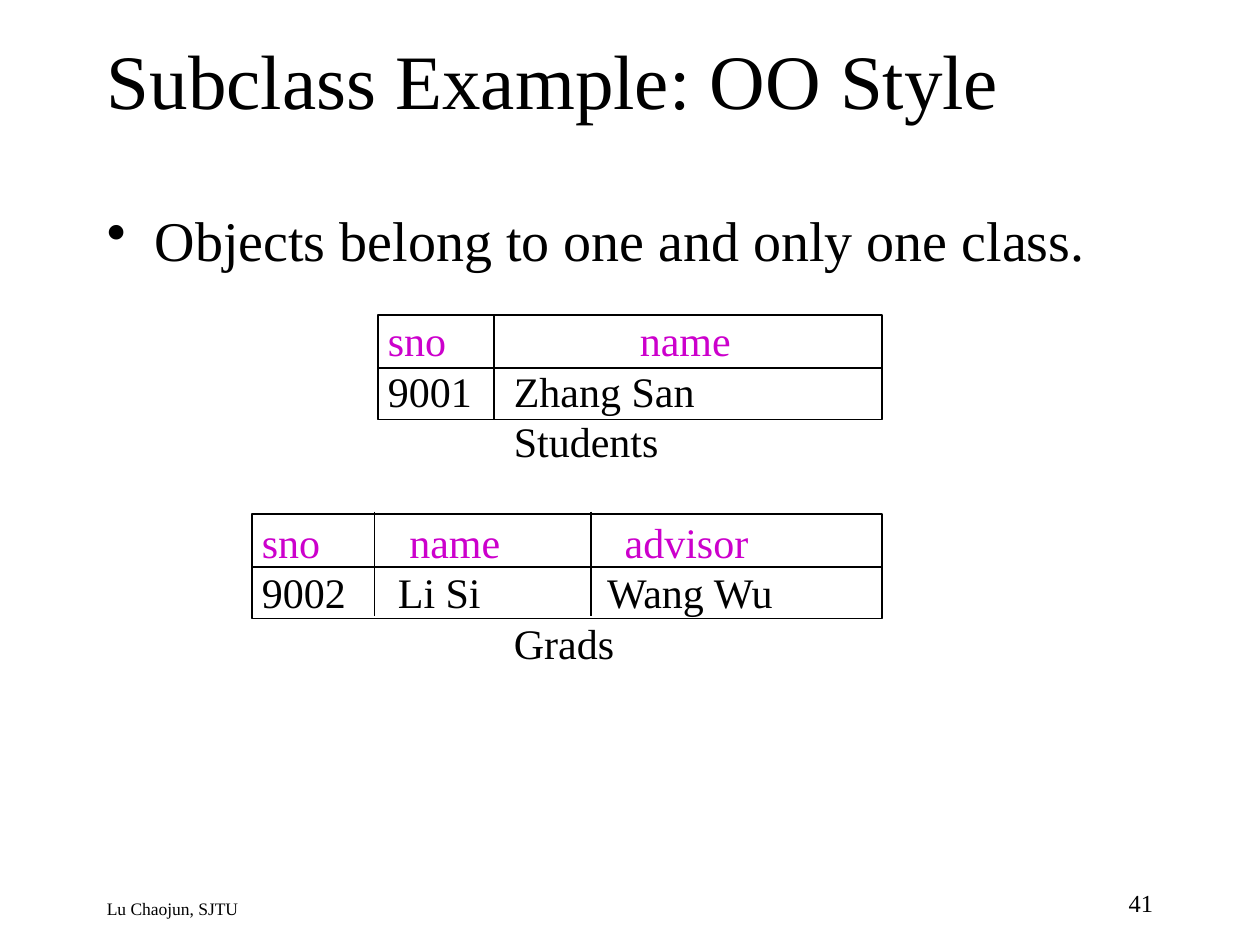
from dataclasses import dataclass

from lxml.etree import SubElement
from pptx import Presentation
from pptx.dml.color import RGBColor
from pptx.enum.shapes import MSO_CONNECTOR, MSO_SHAPE
from pptx.enum.text import MSO_ANCHOR, PP_ALIGN
from pptx.oxml.ns import qn
from pptx.util import Inches, Pt


@dataclass(frozen=True)
class Theme:
    font: str = "Times New Roman"
    ink: RGBColor = RGBColor(0x00, 0x00, 0x00)
    heading: RGBColor = RGBColor(0xCC, 0x00, 0xCC)
    title: float = 44
    body: float = 32
    table: float = 24
    number: float = 14
    footer: float = 10
    line: float = 0.75
    leading: float = 1.2


class SlideBuilder:
    def __init__(self, slide, theme):
        self.slide = slide
        self.theme = theme

    def text_box(self, left, top, width, height, anchor=MSO_ANCHOR.TOP):
        box = self.slide.shapes.add_textbox(
            Inches(left), Inches(top), Inches(width), Inches(height))
        frame = box.text_frame
        frame.word_wrap = True
        frame.vertical_anchor = anchor
        return frame

    def paragraph(self, frame, text, size, color=None, first=True,
                  align=PP_ALIGN.LEFT, tabs=(), space_before=0, bullet=False):
        para = frame.paragraphs[0] if first else frame.add_paragraph()
        properties = para._p.get_or_add_pPr()
        if bullet:
            indent = Inches(0.38)
            properties.set("marL", str(indent))
            properties.set("indent", str(-indent))
            SubElement(properties, qn("a:buChar"), char="•")
        if tabs:
            tab_list = SubElement(properties, qn("a:tabLst"))
            for position in tabs:
                SubElement(tab_list, qn("a:tab"), pos=str(Inches(position)), algn="l")
        para.alignment = align
        para.line_spacing = Pt(size * self.theme.leading)
        para.space_before = Pt(space_before)
        span = para.add_run()
        span.text = text
        span.font.name = self.theme.font
        span.font.size = Pt(size)
        span.font.color.rgb = color or self.theme.ink

    def line(self, x1, y1, x2, y2):
        line = self.slide.shapes.add_connector(
            MSO_CONNECTOR.STRAIGHT, Inches(x1), Inches(y1), Inches(x2), Inches(y2))
        line.line.color.rgb = self.theme.ink
        line.line.width = Pt(self.theme.line)
        SubElement(line._element.spPr, qn("a:effectLst"))

    def relation_frame(self, left, top, width, dividers, divider_top):
        """Outline a two-row relation with one vertical line per divider."""
        height = 0.83
        outline = self.slide.shapes.add_shape(
            MSO_SHAPE.RECTANGLE, Inches(left), Inches(top), Inches(width), Inches(height))
        outline.shadow.inherit = False
        outline.fill.background()
        outline.line.color.rgb = self.theme.ink
        outline.line.width = Pt(self.theme.line)
        middle = top + 0.42
        self.line(left, middle, left + width, middle)
        for x in dividers:
            self.line(x, divider_top, x, divider_top + height)


def main():
    deck = Presentation()
    deck.slide_width, deck.slide_height = Inches(10), Inches(7.5)
    theme = Theme()
    page = SlideBuilder(deck.slides.add_slide(deck.slide_layouts[6]), theme)

    title = page.text_box(0.75, 0, 8.5, 1.25, MSO_ANCHOR.MIDDLE)
    page.paragraph(title, "Subclass Example: OO Style", theme.title)
    body = page.text_box(0.75, 1.58, 8.5, 5.08)
    page.paragraph(body, "Objects belong to one and only one class.", theme.body, bullet=True)
    footer = page.text_box(0.75, 7.08, 5.8, 0.25)
    page.paragraph(footer, "Lu Chaojun, SJTU", theme.footer)
    number = page.text_box(7.17, 7, 2.08, 0.33)
    page.paragraph(number, "41", theme.number, align=PP_ALIGN.RIGHT)

    # Text, colour, tab stops and space before of each row
    line_gap = theme.table * theme.leading
    rows = [
        ("\tsno\tname", theme.heading, (1, 3), 0),
        ("\t9001\tZhang San", theme.ink, (1, 2), 0),
        ("\tStudents", theme.ink, (2,), 0),
        ("sno\tname\tadvisor", theme.heading, (1.17, 2.88), line_gap),
        ("9002\tLi Si\tWang Wu", theme.ink, (1.08, 2.74), 0),
        ("\tGrads", theme.ink, (2,), 0),
    ]
    relations = page.text_box(1.98, 2.45, 4.4, 2.9)
    for index, (text, color, tabs, space_before) in enumerate(rows):
        page.paragraph(relations, text, theme.table, color, first=index == 0,
                       tabs=tabs, space_before=space_before)

    page.relation_frame(3, 2.5, 4, [3.92], 2.5)
    page.relation_frame(2, 4.08, 5, [2.97, 4.69], 4.06)

    deck.save("out.pptx")


if __name__ == "__main__":
    main()
